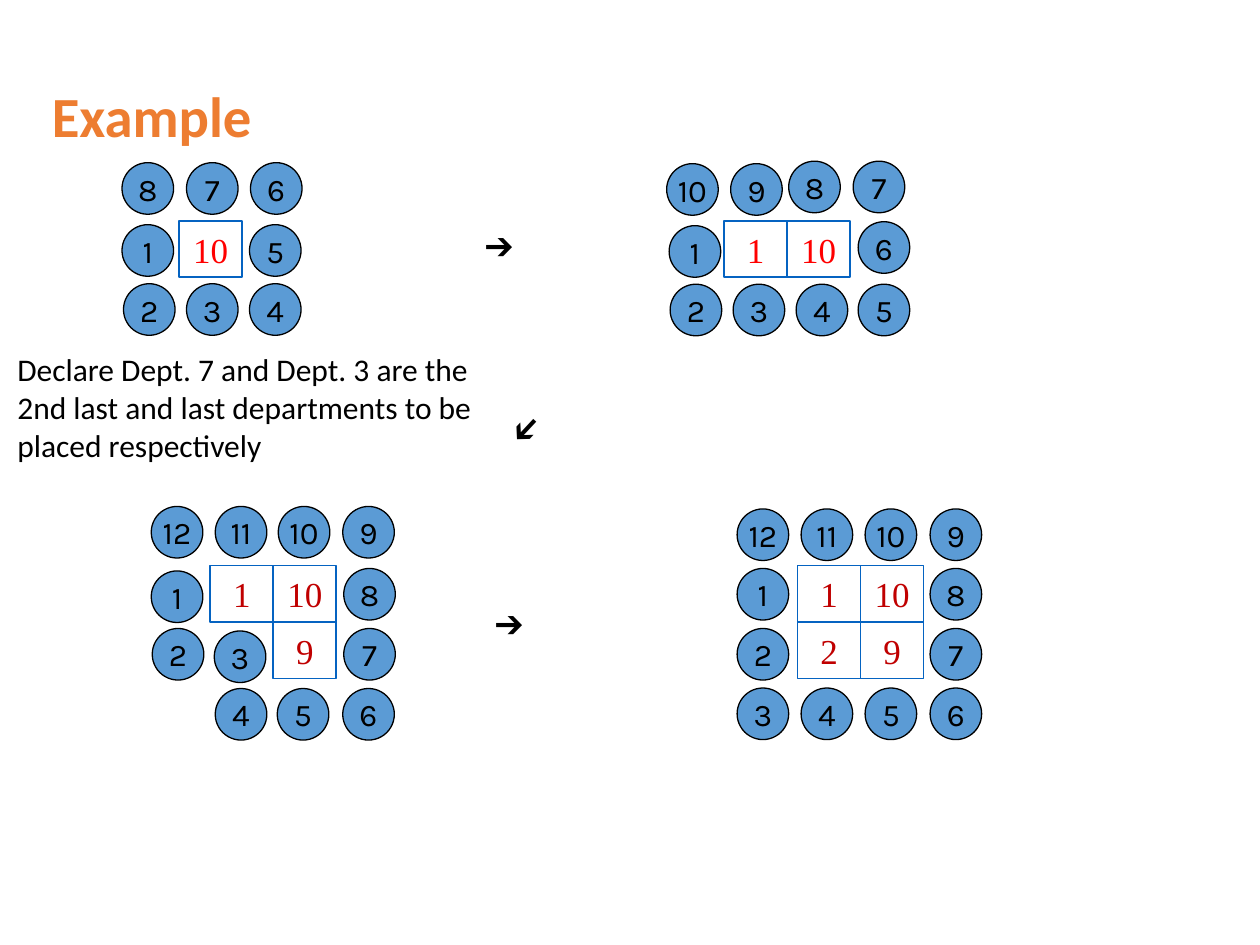
from pptx import Presentation
from pptx.dml.color import RGBColor
from pptx.enum.shapes import MSO_SHAPE
from pptx.enum.text import MSO_ANCHOR, PP_ALIGN
from pptx.util import Cm, Pt

COLORS = {
    "title": "ED7D31",
    "text": "000000",
    "circle": "5B9BD5",
    "cell_line": "0563C1",
    "placed_first": "FF0000",
    "placed_later": "C00000",
}
CIRCLE_SIZE = 1.04
CELL_WIDTH, CELL_HEIGHT = 1.27, 1.14

LAST_COLUMNS = [14.86, 16.15, 17.44, 18.75]
CIRCLE_ROWS = [
    (3.28, [2.46, 3.76, 5.05], [8, 7, 6]),
    (4.53, [2.46, 5.03], [1, 5]),
    (5.72, [2.49, 3.76, 5.03], [2, 3, 4]),
    (3.3, [13.44, 14.73], [10, 9]),
    (3.25, [15.9, 17.2], [8, 7]),
    (4.55, [13.49], [1]),
    (4.47, [17.3], [6]),
    (5.73, [13.51, 14.78, 16.05, 17.3], [2, 3, 4, 5]),
    (10.21, [3.05, 4.34, 5.61, 6.91], [12, 11, 10, 9]),
    (11.51, [3.05], [1]),
    (11.46, [6.93], [8]),
    (12.67, [3.07, 6.93], [2, 7]),
    (12.72, [4.32], [3]),
    (13.88, [4.34, 5.59, 6.91], [4, 5, 6]),
    (10.26, LAST_COLUMNS, [12, 11, 10, 9]),
    (11.46, [LAST_COLUMNS[0], LAST_COLUMNS[-1]], [1, 8]),
    (12.67, [LAST_COLUMNS[0], LAST_COLUMNS[-1]], [2, 7]),
    (13.87, LAST_COLUMNS, [3, 4, 5, 6]),
]
CELL_GRIDS = [
    (3.61, 4.45, "placed_first", [[10]]),
    (14.6, 4.45, "placed_first", [[1, 10]]),
    (4.24, 11.4, "placed_later", [[1, 10], [None, 9]]),
    (16.08, 11.4, "placed_later", [[1, 10], [2, 9]]),
]
ARROWS = [(9.53, 4.45, 0), (9.73, 12.07, 0), (9.7, 8.1, 133.1)]


def color(name):
    """Return the named colour."""
    return RGBColor.from_string(COLORS[name])


def set_text(shape, text, font_name, size, color_name, align=PP_ALIGN.LEFT):
    """Write one formatted paragraph into a shape."""
    paragraph = shape.text_frame.paragraphs[0]
    paragraph.text = text
    paragraph.alignment = align
    font = paragraph.font
    font.name, font.size = font_name, Pt(size)
    font.color.rgb = color(color_name)
    return paragraph


def add_outlined_shape(slide, kind, box, line_color, line_width):
    """Add an unfilled shape with centred text and no margins."""
    shape = slide.shapes.add_shape(kind, *map(Cm, box))
    shape.shadow.inherit = False
    shape.fill.background()
    shape.line.color.rgb = color(line_color)
    shape.line.width = Pt(line_width)
    frame = shape.text_frame
    frame.vertical_anchor = MSO_ANCHOR.MIDDLE
    frame.margin_left = frame.margin_right = 0
    frame.margin_top = frame.margin_bottom = 0
    return shape


def add_circle_row(slide, top, lefts, numbers):
    """Add numbered location circles at one height."""
    for left, number in zip(lefts, numbers):
        box = (left, top, CIRCLE_SIZE, CIRCLE_SIZE)
        circle = add_outlined_shape(slide, MSO_SHAPE.OVAL, box, "text", 0.75)
        circle.fill.solid()
        circle.fill.fore_color.rgb = color("circle")
        circle.text_frame.word_wrap = False
        set_text(circle, str(number), "Karla", 18, "text", PP_ALIGN.CENTER)


def add_cell_grid(slide, left, top, text_color, rows):
    """Add the squares of the departments already placed."""
    for row, numbers in enumerate(rows):
        for column, number in enumerate(numbers):
            if number is None:
                continue
            box = (left + column * CELL_WIDTH, top + row * CELL_HEIGHT,
                   CELL_WIDTH, CELL_HEIGHT)
            cell = add_outlined_shape(slide, MSO_SHAPE.RECTANGLE, box, "cell_line", 1)
            set_text(cell, str(number), "Times New Roman", 20, text_color,
                     PP_ALIGN.CENTER)


def add_text(slide, box, text, font_name):
    """Add a wrapping text box."""
    text_box = slide.shapes.add_textbox(*map(Cm, box))
    text_box.text_frame.word_wrap = True
    set_text(text_box, text, font_name, 18, "text")
    return text_box


def add_title(slide, text):
    """Place and format the title placeholder."""
    title = slide.shapes.title
    title.left, title.top, title.width, title.height = map(Cm, (0.79, 1.7, 21.59, 1.42))
    title.text_frame.vertical_anchor = MSO_ANCHOR.MIDDLE
    paragraph = set_text(title, text, "Calibri", 32.4, "title")
    paragraph.font.bold = True
    paragraph.line_spacing = 0.9


def main():
    """Build the slide and save it."""
    presentation = Presentation()
    presentation.slide_width, presentation.slide_height = Cm(25.4), Cm(19.05)
    slide = presentation.slides.add_slide(presentation.slide_layouts[5])
    add_title(slide, "Example")
    for left, top, rotation in ARROWS:
        arrow = add_text(slide, (left, top, 1.42, 1.27), "➔", "Times New Roman")
        arrow.rotation = rotation
    for grid in CELL_GRIDS:
        add_cell_grid(slide, *grid)
    for circle_row in CIRCLE_ROWS:
        add_circle_row(slide, *circle_row)
    note = add_text(
        slide, (0.1, 6.93, 10.39, 2.54),
        "Declare Dept. 7 and Dept. 3 are the 2nd last and last departments "
        "to be placed respectively", "Calibri")
    note.text_frame.vertical_anchor = MSO_ANCHOR.MIDDLE
    presentation.save("out.pptx")


if __name__ == "__main__":
    main()
